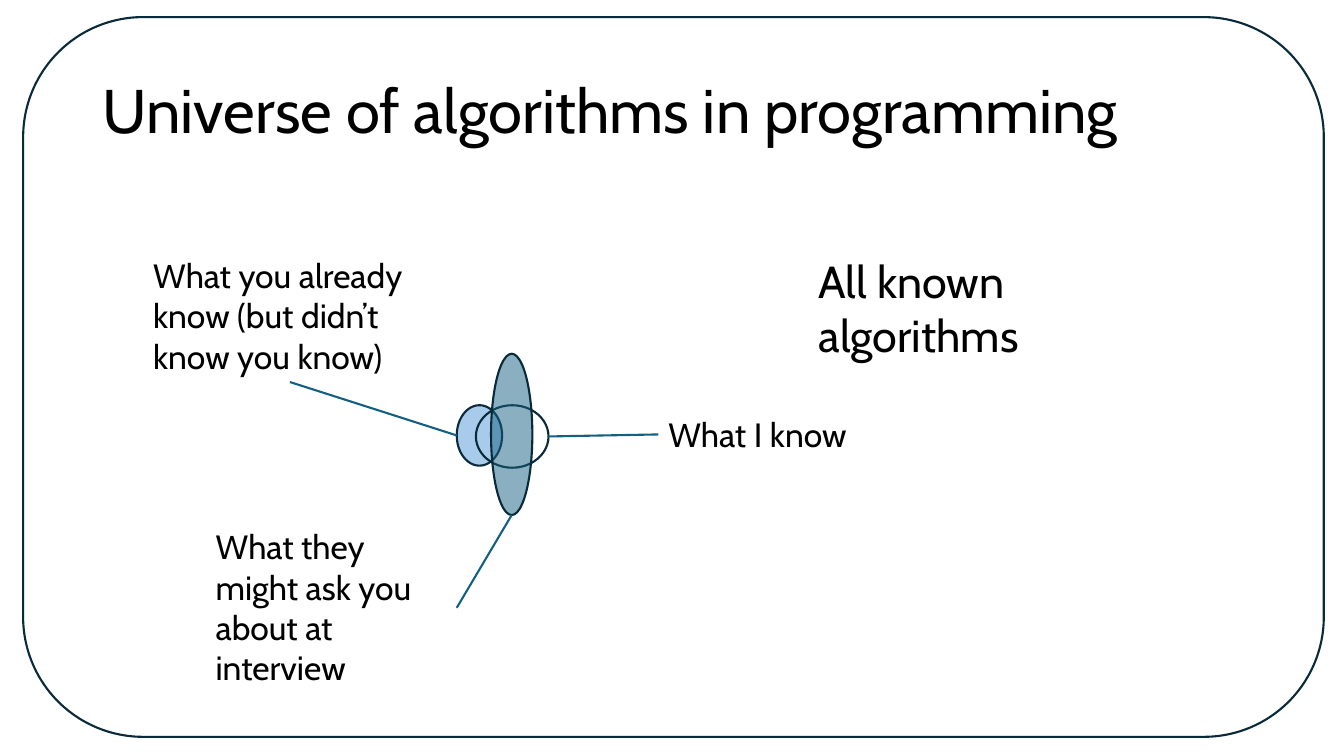
import pptx
import pptx.util
import pptx.dml.color
import pptx.enum.shapes
import pptx.enum.text
import lxml.etree

Inches = pptx.util.Inches
Pt = pptx.util.Pt
RGBColor = pptx.dml.color.RGBColor
SHAPES = pptx.enum.shapes.MSO_SHAPE

BLACK = RGBColor(0x00, 0x00, 0x00)
OUTLINE = RGBColor(0x09, 0x2A, 0x39)
BLUE = RGBColor(0x4E, 0x95, 0xD9)
TEAL = RGBColor(0x15, 0x60, 0x82)
DRAWING_NS = "{http://schemas.openxmlformats.org/drawingml/2006/main}"
FONT = "Cabin"
TOP, LEFT, BOTTOM, RIGHT = range(4)


def inches(box):
    return [Inches(length) for length in box]


def style_text(frame, text, size):
    frame.text = text
    frame.word_wrap = True
    font = frame.paragraphs[0].font
    font.name, font.size = FONT, Pt(size)
    font.color.rgb = BLACK


def add_title(slide, box, text):
    title = slide.shapes.title
    title.left, title.top, title.width, title.height = inches(box)
    frame = title.text_frame
    style_text(frame, text, 44)
    frame.vertical_anchor = pptx.enum.text.MSO_ANCHOR.MIDDLE
    frame.paragraphs[0].alignment = pptx.enum.text.PP_ALIGN.LEFT
    frame.paragraphs[0].line_spacing = 0.9


def add_outline(slide, kind, box, color=None, opacity=100):
    outline = slide.shapes.add_shape(kind, *inches(box))
    outline.shadow.inherit = False
    outline.line.color.rgb = OUTLINE
    outline.line.width = Pt(1.5)
    if color is None:
        outline.fill.background()
    else:
        outline.fill.solid()
        outline.fill.fore_color.rgb = color
        solid = outline.fill._xPr.find(DRAWING_NS + "solidFill")
        lxml.etree.SubElement(solid[0], DRAWING_NS + "alpha", val=str(opacity * 1000))
    return outline


def add_label(slide, box, text, size=24):
    label = slide.shapes.add_textbox(*inches(box))
    style_text(label.text_frame, text, size)
    label.text_frame.auto_size = pptx.enum.text.MSO_AUTO_SIZE.SHAPE_TO_FIT_TEXT
    return label


def side_point(box, side):
    left, top, width, height = box
    return {
        TOP: (left + width / 2, top),
        LEFT: (left, top + height / 2),
        BOTTOM: (left + width / 2, top + height),
        RIGHT: (left + width, top + height / 2),
    }[side]


def add_known_set(slide, set_box, set_side, color, opacity, label_box, label_side, text):
    add_outline(slide, SHAPES.OVAL, set_box, color, opacity)
    label = add_label(slide, label_box, text)
    ends = side_point(label_box, label_side) + side_point(set_box, set_side)
    leader = slide.shapes.add_connector(
        pptx.enum.shapes.MSO_CONNECTOR.STRAIGHT, *inches(ends))
    leader.begin_connect(label, label_side)
    leader.line.color.rgb = TEAL
    leader.line.width = Pt(1.5)
    lxml.etree.SubElement(leader._element.spPr, DRAWING_NS + "effectLst")


def add_universe(slide, box):
    left, top, width, height = box

    def within(x, y, part_width, part_height):
        return left + x, top + y, part_width, part_height

    add_title(slide, within(0.69, 0.23, 11.5, 1.45), "Universe of algorithms in programming")
    add_outline(slide, SHAPES.ROUNDED_RECTANGLE, box)
    add_label(slide, within(7.79, 2.3, 3.78, 1.18), "All known algorithms", 32)
    known_sets = [
        (within(4.3, 3.85, 0.45, 0.6), LEFT, BLUE, 49,
         within(1.19, 2.31, 2.91, 1.31), BOTTOM,
         "What you already know (but didn’t know you know)"),
        (within(4.49, 3.85, 0.72, 0.62), RIGHT, None, 100,
         within(6.3, 3.89, 2.49, 0.5), LEFT,
         "What I know"),
        (within(4.64, 3.34, 0.41, 1.6), BOTTOM, TEAL, 50,
         within(1.81, 5, 2.49, 1.72), RIGHT,
         "What they might ask you about at interview"),
    ]
    for known_set in known_sets:
        add_known_set(slide, *known_set)


def main():
    deck = pptx.Presentation()
    deck.slide_width, deck.slide_height = Inches(13.33), Inches(7.5)
    slide = deck.slides.add_slide(deck.slide_layouts.get_by_name("Title Only"))
    add_universe(slide, (0.23, 0.17, 12.9, 7.14))
    deck.save("out.pptx")


if __name__ == "__main__":
    main()
